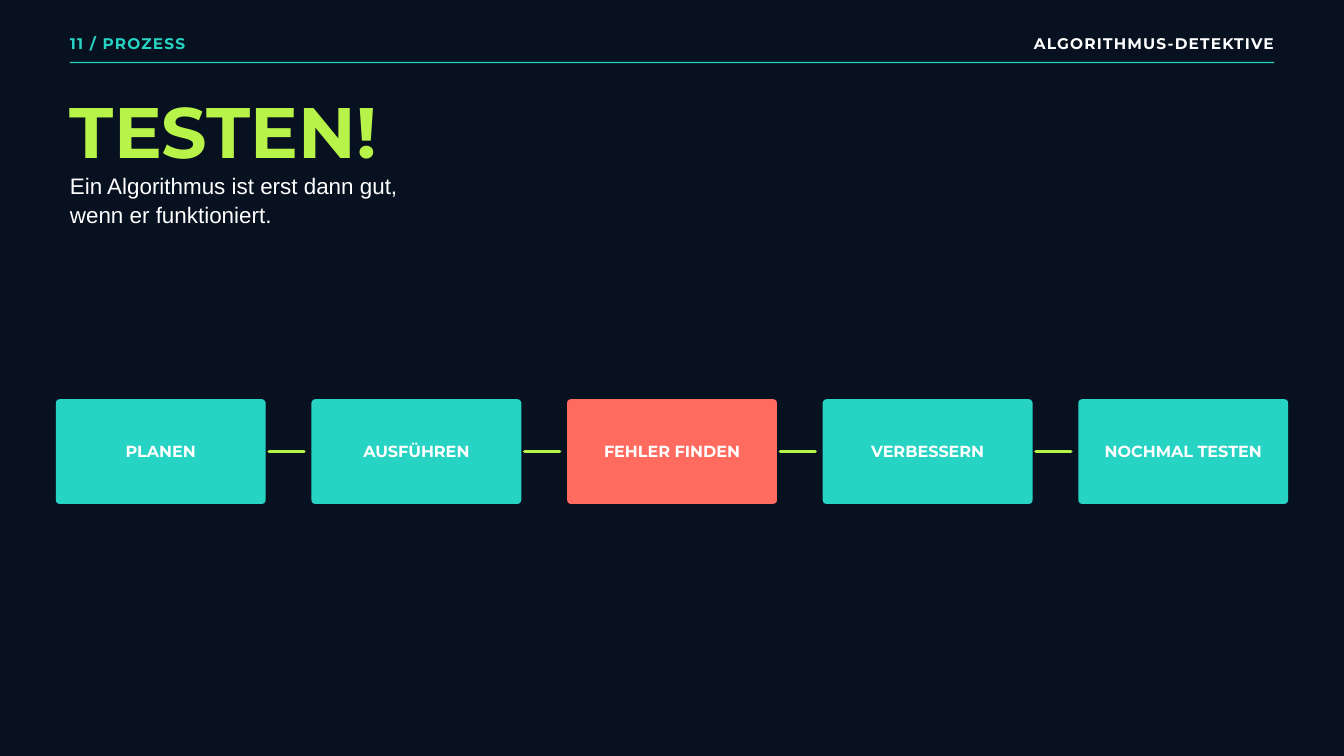
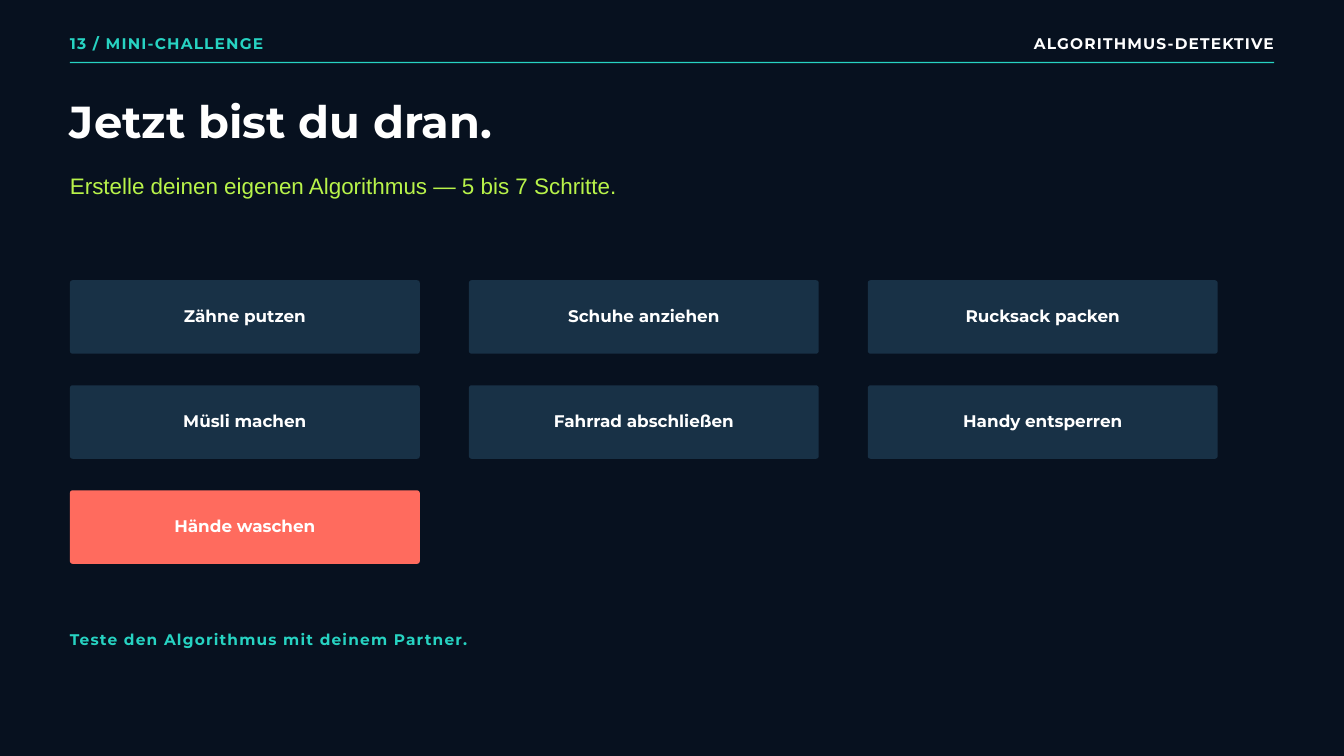
from dataclasses import dataclass

from pptx import Presentation
from pptx import util as u
from pptx.dml.color import RGBColor
from pptx.enum import shapes, text
from pptx.oxml import ns
from lxml import etree


@dataclass(frozen=True)
class Theme:
    night: str = "07111F"
    teal: str = "27D3C2"
    lime: str = "B8F34A"
    coral: str = "FF6B5E"
    navy: str = "183146"
    white: str = "FFFFFF"
    display: str = "Montserrat"
    body: str = "Arial"
    label: float = 16.5
    step: float = 17.2
    task: float = 18
    lead: float = 24
    title: float = 48
    shout: float = 76.5
    margin: float = 1.04
    content: float = 17.92


T = Theme()
ALIGN = text.PP_ALIGN
LABEL = dict(size=T.label, leading=23.1, bold=True, spacing=1.3)


def rgb(color):
    return RGBColor.from_string(color)


def lengths(box):
    return [u.Inches(v) for v in box]


def write(sp, lines, size, leading, color=T.white, font=T.display, bold=False,
          align=ALIGN.LEFT, anchor=text.MSO_ANCHOR.TOP, inset=0, spacing=0):
    tf = sp.text_frame
    tf.word_wrap = True
    tf.auto_size = text.MSO_AUTO_SIZE.NONE
    tf.vertical_anchor = anchor
    tf.margin_left = tf.margin_right = tf.margin_top = tf.margin_bottom = u.Inches(inset)
    for i, line in enumerate(lines.split("\n")):
        p = tf.add_paragraph() if i else tf.paragraphs[0]
        p.alignment = align
        p.line_spacing = u.Pt(leading)
        p.space_before = u.Pt(0)
        r = p.add_run()
        r.text = line
        r.font.name = font
        r.font.size = u.Pt(size)
        r.font.bold = bold
        r.font.color.rgb = rgb(color)
        if spacing:
            r._r.get_or_add_rPr().set("spc", str(round(spacing * 100)))


def add_text(s, box, lines, **fmt):
    write(s.shapes.add_textbox(*lengths(box)), lines, **fmt)


def add_panel(s, kind, box, fill):
    sp = s.shapes.add_shape(kind, *lengths(box))
    sp.shadow.inherit = False
    sp.fill.solid()
    sp.fill.fore_color.rgb = rgb(fill)
    sp.line.fill.background()
    return sp


def add_card(s, box, label, fill, size, radius):
    sp = add_panel(s, shapes.MSO_SHAPE.ROUNDED_RECTANGLE, box, fill)
    sp.adjustments[0] = radius / box[3]
    write(sp, label, size=size, leading=size * 1.1, bold=True, align=ALIGN.CENTER,
          anchor=text.MSO_ANCHOR.MIDDLE, inset=0.06)


def add_link(s, x, y, length):
    cx = s.shapes.add_connector(shapes.MSO_CONNECTOR.STRAIGHT,
                                *lengths((x, y, x + length, y)))
    cx.line.color.rgb = rgb(T.lime)
    cx.line.width = u.Pt(3.75)
    cx.line._get_or_add_ln().set("cap", "rnd")
    etree.SubElement(cx._element.spPr, ns.qn("a:effectLst"))


def add_header(s, box, section):
    x, y, w, h = box
    add_text(s, (x, y, 3.12, 0.31), section, color=T.teal, **LABEL)
    add_text(s, (x + w - 3.85, y, 3.85, 0.31), "ALGORITHMUS-DETEKTIVE",
             align=ALIGN.RIGHT, **LABEL)
    add_panel(s, shapes.MSO_SHAPE.RECTANGLE, (x, y + h - 0.02, w, 0.02), T.teal)


def add_title(s, box, title, **fmt):
    sp = s.shapes.title
    sp.left, sp.top, sp.width, sp.height = lengths(box)
    write(sp, title, bold=True, **fmt)


def add_lead(s, box, lines, color):
    add_text(s, box, lines, size=T.lead, leading=31.2, font=T.body, color=color)


def add_process(s, box, steps, highlight, gap=0.68):
    x, y, w, h = box
    step_w = (w - gap * (len(steps) - 1)) / len(steps)
    for i, step in enumerate(steps):
        left = x + i * (step_w + gap)
        fill = T.coral if step == highlight else T.teal
        add_card(s, (left, y, step_w, h), step, fill, T.step, 0.06)
        if i < len(steps) - 1:
            add_link(s, left + step_w + 0.05, y + h / 2, 0.52)


def add_task_grid(s, box, tasks, highlight, cols=3, gap_x=0.73, gap_y=0.47):
    x, y, w, h = box
    rows = -(-len(tasks) // cols)
    card_w = (w - gap_x * (cols - 1)) / cols
    card_h = (h - gap_y * (rows - 1)) / rows
    for i, task in enumerate(tasks):
        row, col = divmod(i, cols)
        cell = (x + col * (card_w + gap_x), y + row * (card_h + gap_y), card_w, card_h)
        fill = T.coral if task == highlight else T.navy
        add_card(s, cell, task, fill, T.task, 0.04)


def new_slide(prs, section):
    s = prs.slides.add_slide(prs.slide_layouts.get_by_name("Title Only"))
    s.background.fill.solid()
    s.background.fill.fore_color.rgb = rgb(T.night)
    add_header(s, (T.margin, 0.46, T.content, 0.48), section)
    return s


def process_slide(prs):
    s = new_slide(prs, "11 / PROZESS")
    add_title(s, (T.margin, 1.56, 6.77, 1.06), "TESTEN!",
              size=T.shout, leading=72.7, color=T.lime)
    add_lead(s, (T.margin, 2.52, 12.5, 0.85),
             "Ein Algorithmus ist erst dann gut,\nwenn er funktioniert.", T.white)
    add_process(s, (0.83, 5.94, 18.34, 1.56),
                ["PLANEN", "AUSFÜHREN", "FEHLER FINDEN", "VERBESSERN", "NOCHMAL TESTEN"],
                highlight="FEHLER FINDEN")


def challenge_slide(prs):
    s = new_slide(prs, "13 / MINI-CHALLENGE")
    add_title(s, (T.margin, 1.51, 10.94, 0.69), "Jetzt bist du dran.",
              size=T.title, leading=49)
    add_lead(s, (T.margin, 2.52, 14.06, 0.42),
             "Erstelle deinen eigenen Algorithmus — 5 bis 7 Schritte.", T.lime)
    add_task_grid(s, (T.margin, 4.17, 17.08, 4.22),
                  ["Zähne putzen", "Schuhe anziehen", "Rucksack packen",
                   "Müsli machen", "Fahrrad abschließen", "Handy entsperren",
                   "Hände waschen"],
                  highlight="Hände waschen")
    add_text(s, (T.margin, 9.33, 11.46, 0.31),
             "Teste den Algorithmus mit deinem Partner.", color=T.teal, **LABEL)


def main():
    prs = Presentation()
    prs.slide_width, prs.slide_height = lengths((20, 11.25))
    process_slide(prs)
    challenge_slide(prs)
    prs.save("out.pptx")


if __name__ == "__main__":
    main()
